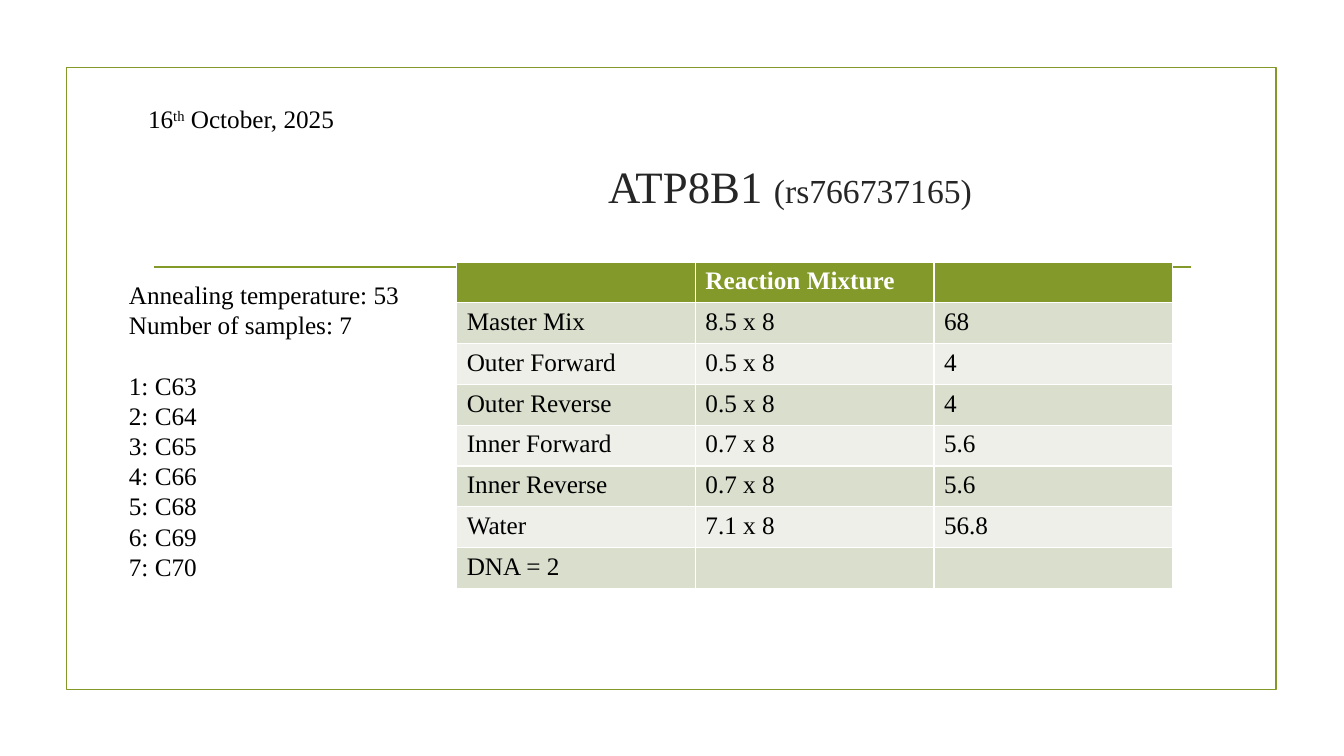
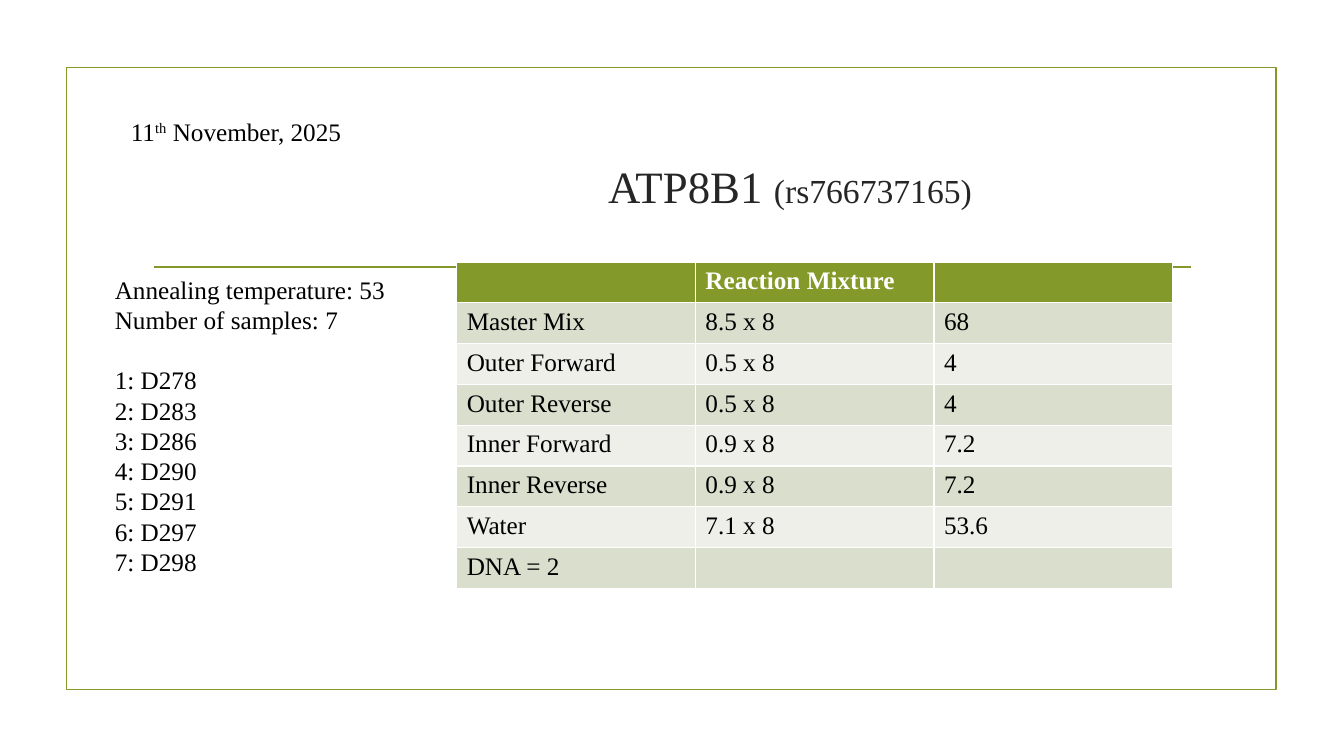
from pptx import Presentation
from pptx import util as u
from pptx.dml.color import RGBColor
from pptx.enum import shapes, text
from pptx.oxml.ns import qn
from lxml import etree

COLOURS = {
    "accent": "83992A",
    "title": "262626",
    "text": "000000",
    "header_text": "FFFFFF",
    "band_dark": "D9DECD",
    "band_light": "EDEFE8",
}
FONT = "Times New Roman"
LINE_PITCH = 21.6


def rgb(name):
    return RGBColor.from_string(COLOURS[name])


def style(paragraph, size, colour, bold=False):
    paragraph.font.name = FONT
    paragraph.font.size = u.Pt(size)
    paragraph.font.bold = bold
    paragraph.font.color.rgb = rgb(colour)


experiments = [
    {
        "day": "16",
        "month": " October, 2025",
        "date_at": (1.37, 0.98),
        "samples_at": (1.18, 2.72),
        "samples": ["C63", "C64", "C65", "C66", "C68", "C69", "C70"],
        "inner": ("0.7 x 8", "5.6"),
        "water": "56.8",
    },
    {
        "day": "11",
        "month": " November, 2025",
        "date_at": (1.2, 1.1),
        "samples_at": (1.04, 2.67),
        "samples": ["D278", "D283", "D286", "D290", "D291", "D297", "D298"],
        "inner": ("0.9 x 8", "7.2"),
        "water": "53.6",
    },
]

presentation = Presentation()
presentation.slide_width = u.Inches(13.33)
presentation.slide_height = u.Inches(7.5)
title_only = presentation.slide_layouts[5]

for experiment in experiments:
    slide = presentation.slides.add_slide(title_only)

    frame = slide.shapes.add_shape(
        shapes.MSO_SHAPE.RECTANGLE,
        u.Inches(0.66), u.Inches(0.67), u.Inches(12), u.Inches(6.17))
    frame.shadow.inherit = False
    frame.fill.background()
    rule = slide.shapes.add_connector(
        shapes.MSO_CONNECTOR.STRAIGHT,
        u.Inches(1.53), u.Inches(2.65), u.Inches(11.81), u.Inches(2.65))
    etree.SubElement(rule.element.spPr, qn("a:effectLst"))
    for outline in (frame.line, rule.line):
        outline.color.rgb = rgb("accent")
        outline.width = u.Pt(1.25)

    title = slide.shapes.title
    title.left, title.top = u.Inches(5.58), u.Inches(1.5)
    title.width, title.height = u.Inches(4.51), u.Inches(0.69)
    title.text_frame.vertical_anchor = text.MSO_ANCHOR.MIDDLE
    paragraph = title.text_frame.paragraphs[0]
    paragraph.alignment = text.PP_ALIGN.CENTER
    style(paragraph, 32, "title")
    paragraph.add_run().text = "ATP8B1 "
    variant = paragraph.add_run()
    variant.text = "(rs766737165)"
    variant.font.size = u.Pt(24)

    left, top = experiment["date_at"]
    date_box = slide.shapes.add_textbox(
        u.Inches(left), u.Inches(top), u.Inches(2.84), u.Inches(0.4))
    date_box.text_frame.word_wrap = True
    paragraph = date_box.text_frame.paragraphs[0]
    style(paragraph, 18, "text")
    for part in (experiment["day"], "th", experiment["month"]):
        run = paragraph.add_run()
        run.text = part
        if part == "th":
            run.font._element.set("baseline", "30000")

    left, top = experiment["samples_at"]
    sample_box = slide.shapes.add_textbox(
        u.Inches(left), u.Inches(top), u.Inches(3.35), u.Inches(3.1))
    sample_box.text_frame.word_wrap = True
    samples = experiment["samples"]
    lines = ["Annealing temperature: 53", f"Number of samples: {len(samples)}"]
    first_sample = len(lines)
    lines += [f"{number}: {sample}" for number, sample in enumerate(samples, 1)]
    sample_box.text_frame.text = "\n".join(lines)
    for paragraph in sample_box.text_frame.paragraphs:
        style(paragraph, 18, "text")
        paragraph.line_spacing = u.Pt(LINE_PITCH)
    sample_box.text_frame.paragraphs[first_sample].space_before = u.Pt(LINE_PITCH)

    rows = [
        ("", "Reaction Mixture", ""),
        ("Master Mix", "8.5 x 8", "68"),
        ("Outer Forward", "0.5 x 8", "4"),
        ("Outer Reverse", "0.5 x 8", "4"),
        ("Inner Forward", *experiment["inner"]),
        ("Inner Reverse", *experiment["inner"]),
        ("Water", "7.1 x 8", experiment["water"]),
        ("DNA = 2", "", ""),
    ]
    table = slide.shapes.add_table(
        len(rows), len(rows[0]),
        u.Inches(4.53), u.Inches(2.6), u.Inches(7.1), u.Inches(3.24)).table
    for row_index, row in enumerate(rows):
        header = row_index == 0
        band = "accent" if header else "band_dark" if row_index % 2 else "band_light"
        for column_index, value in enumerate(row):
            cell = table.cell(row_index, column_index)
            cell.fill.solid()
            cell.fill.fore_color.rgb = rgb(band)
            cell.text = value
            style(cell.text_frame.paragraphs[0], 18,
                  "header_text" if header else "text", header)

presentation.save("out.pptx")
